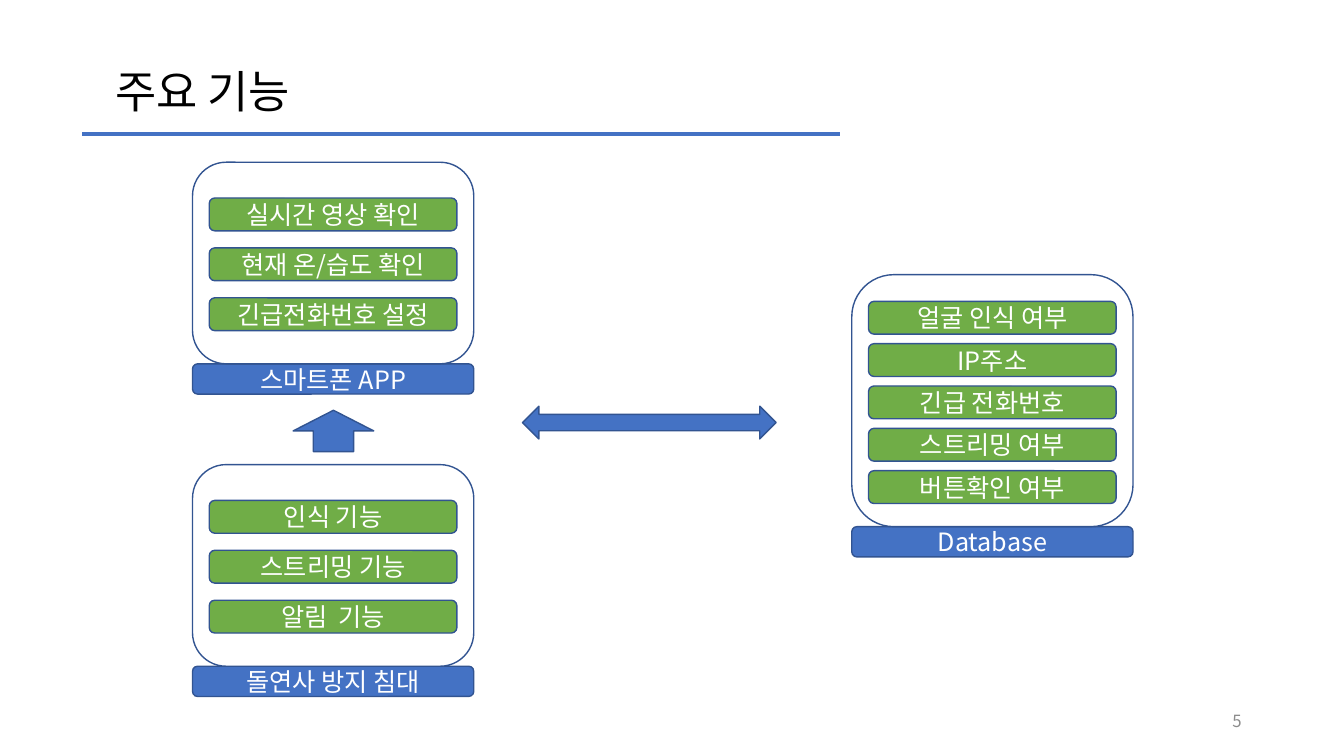
from dataclasses import dataclass

from lxml import etree
from pptx import Presentation
from pptx.dml.color import RGBColor
from pptx.enum.shapes import MSO_CONNECTOR, MSO_SHAPE
from pptx.enum.text import MSO_ANCHOR, MSO_AUTO_SIZE, PP_ALIGN
from pptx.oxml.ns import qn
from pptx.util import Inches, Pt

ROUNDED = MSO_SHAPE.ROUNDED_RECTANGLE
UP_ARROW = MSO_SHAPE.UP_ARROW
TWO_WAY_ARROW = MSO_SHAPE.LEFT_RIGHT_ARROW
STRAIGHT = MSO_CONNECTOR.STRAIGHT
LEFT, CENTER, RIGHT = PP_ALIGN.LEFT, PP_ALIGN.CENTER, PP_ALIGN.RIGHT
TOP, MIDDLE = MSO_ANCHOR.TOP, MSO_ANCHOR.MIDDLE
FIT_SHAPE = MSO_AUTO_SIZE.SHAPE_TO_FIT_TEXT

COLUMNS, ROWS = 80, 75
TITLE_ONLY = 5
PANEL_WIDTH = 16.74
ITEM_INSET = 1
ITEM_HEIGHT = 3.25
CAPTION_HEIGHT = 3


@dataclass(frozen=True)
class Theme:
    font: str = "Noto Sans CJK KR"
    blue: str = "4472C4"
    green: str = "70AD47"
    outline: str = "325491"
    white: str = "FFFFFF"
    black: str = "000000"
    gray: str = "8C8C8C"
    title_size: int = 32
    label_size: int = 18
    number_size: int = 12
    rule_width: int = 3
    outline_width: int = 1


class FeatureSlide:
    """Draws on one slide, measured in grid columns and rows."""

    def __init__(self, deck, theme):
        self.theme = theme
        self.slide = deck.slides.add_slide(deck.slide_layouts[TITLE_ONLY])
        self.column = deck.slide_width / COLUMNS
        self.row = deck.slide_height / ROWS

    def box(self, left, top, width, height):
        """Turn grid units into slide lengths."""
        return (round(left * self.column), round(top * self.row),
                round(width * self.column), round(height * self.row))

    def set_text(self, frame, text, size, color, align, anchor):
        frame.word_wrap = True
        frame.vertical_anchor = anchor
        frame.text = text
        paragraph = frame.paragraphs[0]
        paragraph.alignment = align
        paragraph.font.size = Pt(size)
        paragraph.font.color.rgb = RGBColor.from_string(color)
        paragraph.font.name = self.theme.font
        defaults = paragraph._p.pPr.find(qn("a:defRPr"))
        etree.SubElement(defaults, qn("a:ea"), typeface=self.theme.font)

    def title(self, text, *place):
        heading = self.slide.shapes.title
        heading.left, heading.top, heading.width, heading.height = self.box(*place)
        self.set_text(heading.text_frame, text, self.theme.title_size,
                      self.theme.black, LEFT, TOP)
        heading.text_frame.auto_size = FIT_SHAPE

    def rule(self, left, right, height):
        start, level, end, _ = self.box(left, height, right, 0)
        line = self.slide.shapes.add_connector(STRAIGHT, start, level, end, level)
        line.line.color.rgb = RGBColor.from_string(self.theme.blue)
        line.line.width = Pt(self.theme.rule_width)
        etree.SubElement(line._element.spPr, qn("a:effectLst"))

    def page_number(self, text, *place):
        number = self.slide.shapes.add_textbox(*self.box(*place))
        self.set_text(number.text_frame, text, self.theme.number_size,
                      self.theme.gray, RIGHT, MIDDLE)

    def block(self, kind, fill, *place, text=None):
        block = self.slide.shapes.add_shape(kind, *self.box(*place))
        block.shadow.inherit = False
        block.fill.solid()
        block.fill.fore_color.rgb = RGBColor.from_string(fill)
        block.line.color.rgb = RGBColor.from_string(self.theme.outline)
        block.line.width = Pt(self.theme.outline_width)
        if text:
            self.set_text(block.text_frame, text, self.theme.label_size,
                          self.theme.white, CENTER, MIDDLE)

    def panel(self, caption, items, left, top, height, first, pitch):
        """Frame with evenly spaced items and a caption bar under it."""
        self.block(ROUNDED, self.theme.blue, left, top + height,
                   PANEL_WIDTH, CAPTION_HEIGHT, text=caption)
        self.block(ROUNDED, self.theme.white, left, top, PANEL_WIDTH, height)
        for index, item in enumerate(items):
            self.block(ROUNDED, self.theme.green, left + ITEM_INSET,
                       top + first + index * pitch,
                       PANEL_WIDTH - 2 * ITEM_INSET, ITEM_HEIGHT, text=item)


def main():
    deck = Presentation()
    deck.slide_width, deck.slide_height = Inches(13.33), Inches(7.5)
    theme = Theme()
    page = FeatureSlide(deck, theme)

    page.rule(4.9, 50, 13.3)
    page.title("주요 기능", 6.25, 5.8, 32.8, 6.4)
    page.page_number("5", 56.5, 69.5, 18, 4)

    device_panels = [
        ("스마트폰 APP", 16.1,
         ["실시간 영상 확인", "현재 온/습도 확인", "긴급전화번호 설정"]),
        ("돌연사 방지 침대", 46.1,
         ["인식 기능", "스트리밍 기능", "알림  기능"]),
    ]
    for caption, top, items in device_panels:
        page.panel(caption, items, left=11.46, top=top, height=20,
                   first=3.55, pitch=4.95)

    page.block(TWO_WAY_ARROW, theme.blue, 31.1, 40.3, 15.1, 3.25)
    page.block(UP_ARROW, theme.blue, 17.45, 40.7, 4.8, 4.1)

    page.panel("Database",
               ["얼굴 인식 여부", "IP주소", "긴급 전화번호", "스트리밍 여부",
                "버튼확인 여부"],
               left=50.7, top=27.25, height=25, first=2.65, pitch=4.2)

    deck.save("out.pptx")


if __name__ == "__main__":
    main()
